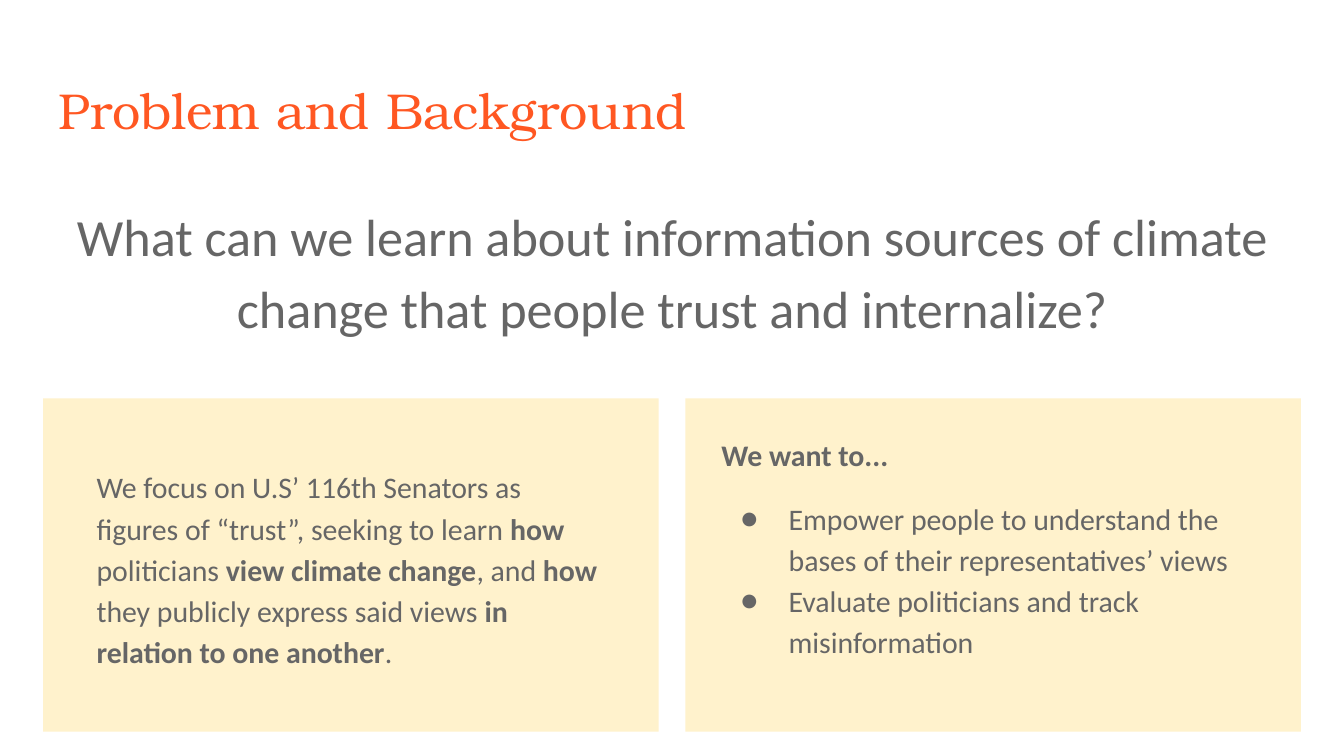
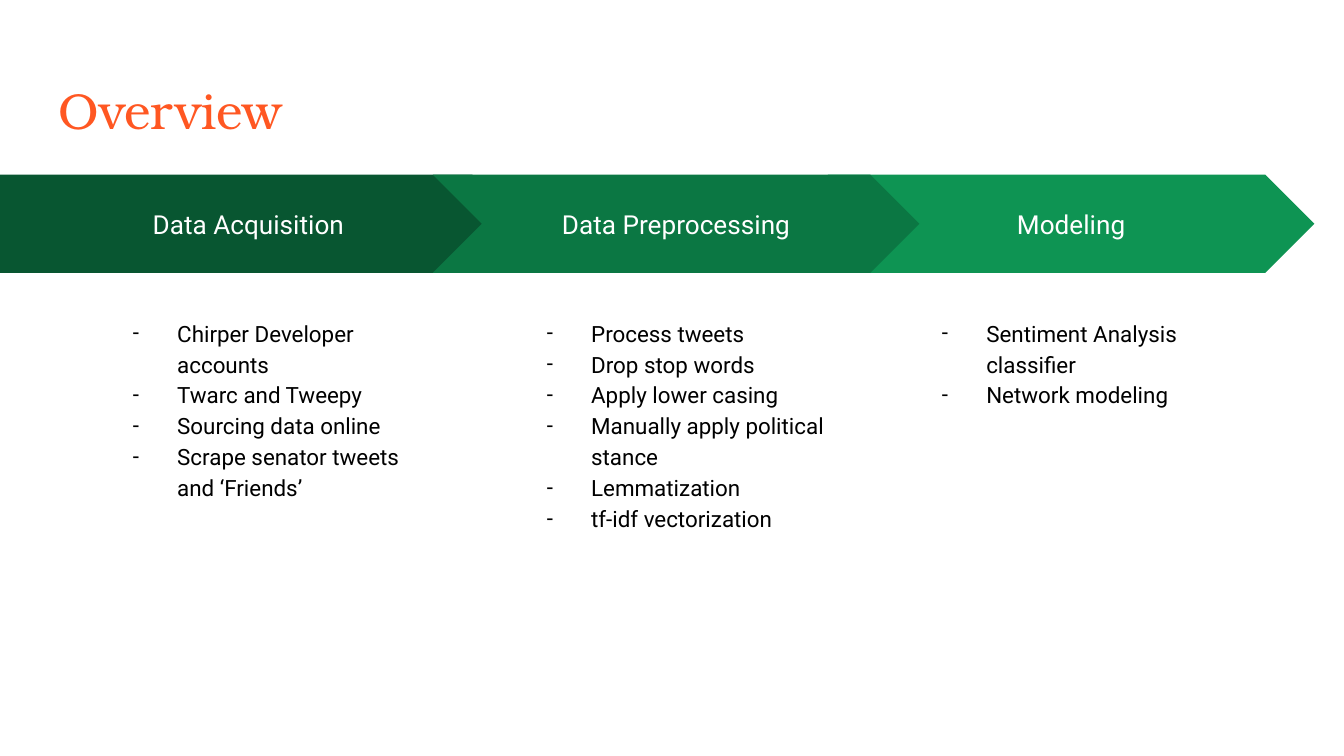
from dataclasses import dataclass
from typing import NamedTuple

from lxml.etree import SubElement
from pptx import Presentation
from pptx.dml.color import RGBColor
from pptx.enum.shapes import MSO_SHAPE as Preset
from pptx.enum.text import MSO_ANCHOR as Anchor, PP_ALIGN as Align
from pptx.oxml.ns import qn
from pptx.util import Emu, Pt

EMU_PER_PX = 4572
SLIDE_WIDTH, SLIDE_HEIGHT = 2000, 1125
INSET = 20
BULLET_MARGIN = 100
LINE_SPACING = 1.15
COLOURS = {
    "title": "FF5722",
    "body": "666666",
    "panel": "FFF2CC",
    "list": "000000",
    "label": "FFFFFF",
    "acquisition": "085631",
    "preprocessing": "0B7743",
    "modeling": "0E9453",
}
TITLE_FONT, BODY_FONT, FLOW_FONT = "TeX Gyre Bonum", "Calibri", "Roboto"


class Box(NamedTuple):
    """A rectangle in px, 200 to the inch."""
    left: int
    top: int
    width: int
    height: int


class Bullet(NamedTuple):
    """A list mark and how far it hangs left of the text, in px."""
    mark: str
    hang: int


@dataclass(frozen=True)
class Stage:
    """One arrow of the process with the list below it."""
    label: str
    colour: str
    preset: Preset
    left: int
    width: int
    list_left: int
    items: tuple[str, ...]


TITLE_BOX = Box(68, 98, 1864, 126)
DOT, DASH = Bullet("●", 72), Bullet("-", 66)
FOCUS = (
    "We focus on U.S’ 116th Senators as figures of “trust”, seeking to learn **how** "
    "politicians **view climate change**, and **how** they publicly express said views "
    "**in relation to one another**."
)
GOALS = (
    "Empower people to understand the bases of their representatives’ views",
    "Evaluate politicians and track misinformation",
)
STAGES = (
    Stage("Modeling", "modeling", Preset.CHEVRON, 1232, 724, 1348,
          ("Sentiment Analysis classifier", "Network modeling")),
    Stage("Data Acquisition", "acquisition", Preset.PENTAGON, 0, 776, 144,
          ("Chirper Developer accounts", "Twarc and Tweepy", "Sourcing data online",
           "Scrape senator tweets and ‘Friends’")),
    Stage("Data Preprocessing", "preprocessing", Preset.CHEVRON, 644, 724, 760,
          ("Process tweets", "Drop stop words", "Apply lower casing",
           "Manually apply political stance", "Lemmatization", "tf-idf vectorization")),
)


def px(length: int) -> Emu:
    """Turn px into EMU."""
    return Emu(length * EMU_PER_PX)


def rgb(name: str) -> RGBColor:
    """Look up a named colour."""
    return RGBColor.from_string(COLOURS[name])


def set_bullet(paragraph, bullet: Bullet, font: str, size: int, colour: str) -> None:
    """Give a paragraph a formatted mark and a hanging indent."""
    properties = paragraph._p.get_or_add_pPr()
    properties.set("marL", str(px(BULLET_MARGIN)))
    properties.set("indent", str(px(-bullet.hang)))
    SubElement(SubElement(properties, qn("a:buClr")), qn("a:srgbClr"), val=COLOURS[colour])
    SubElement(properties, qn("a:buSzPts"), val=str(size * 100))
    SubElement(properties, qn("a:buFont"), typeface=font)
    SubElement(properties, qn("a:buChar"), char=bullet.mark)


def write(frame, text: str, *, font: str, size: int, colour: str,
          align: Align = Align.LEFT, spacing: float = 1.0, before: int = 0,
          after: int = 0, bullet: Bullet | None = None) -> None:
    """Write one paragraph, with bold parts set between double asterisks."""
    paragraph = frame.add_paragraph() if frame.text else frame.paragraphs[0]
    paragraph.alignment = align
    paragraph.line_spacing = spacing
    paragraph.space_before, paragraph.space_after = Pt(before), Pt(after)
    if bullet:
        set_bullet(paragraph, bullet, font, size, colour)
    for index, part in enumerate(text.split("**")):
        if part:
            run = paragraph.add_run()
            run.text = part
            run.font.name, run.font.size = font, Pt(size)
            run.font.bold = index % 2 == 1
            run.font.color.rgb = rgb(colour)


def prepare_frame(shape, anchor: Anchor = Anchor.TOP):
    """Set wrapping, insets and anchor, and return the text frame."""
    frame = shape.text_frame
    frame.word_wrap = True
    frame.vertical_anchor = anchor
    frame.margin_left = frame.margin_right = px(INSET)
    frame.margin_top = frame.margin_bottom = px(INSET)
    return frame


def add_text_frame(shapes, box: Box):
    """Add a text box and return its frame."""
    return prepare_frame(shapes.add_textbox(*map(px, box)))


def add_block(shapes, preset: Preset, box: Box, colour: str):
    """Add a flat filled shape without outline."""
    shape = shapes.add_shape(preset, *map(px, box))
    shape.shadow.inherit = False
    shape.fill.solid()
    shape.fill.fore_color.rgb = rgb(colour)
    shape.line.fill.background()
    return shape


def add_titled_slide(presentation, title: str):
    """Add a blank slide with the shared title style."""
    slide = presentation.slides.add_slide(presentation.slide_layouts[6])
    write(add_text_frame(slide.shapes, TITLE_BOX), title,
          font=TITLE_FONT, size=27, colour="title")
    return slide


def add_stage(slide, stage: Stage) -> None:
    """Draw one process arrow grouped with its list."""
    shapes = slide.shapes.add_group_shape().shapes
    arrow = add_block(shapes, stage.preset, Box(stage.left, 260, stage.width, 146), stage.colour)
    write(prepare_frame(arrow, Anchor.MIDDLE), stage.label,
          font=FLOW_FONT, size=14, colour="label", align=Align.CENTER)
    frame = add_text_frame(shapes, Box(stage.list_left, 450, 490, 572))
    for item in stage.items:
        write(frame, item, font=FLOW_FONT, size=12, colour="list",
              spacing=LINE_SPACING, bullet=DASH)


def build_background(presentation) -> None:
    """Build the slide with the question and two panels."""
    shapes = add_titled_slide(presentation, "Problem and Background").shapes
    style = dict(font=BODY_FONT, colour="body", spacing=LINE_SPACING)
    write(add_text_frame(shapes, Box(68, 270, 1864, 748)),
          "What can we learn about information sources of climate change "
          "that people trust and internalize?",
          size=28, align=Align.CENTER, **style)
    for left in (64, 1020):
        add_block(shapes, Preset.RECTANGLE, Box(left, 593, 916, 496), "panel")
    write(add_text_frame(shapes, Box(124, 670, 796, 342)), FOCUS, size=16, after=12, **style)
    frame = add_text_frame(shapes, Box(1054, 622, 846, 438))
    write(frame, "**We want to...**", size=16, **style)
    for index, goal in enumerate(GOALS):
        write(frame, goal, size=16, before=0 if index else 12, bullet=DOT, **style)


def build_overview(presentation) -> None:
    """Build the slide with the three process stages."""
    slide = add_titled_slide(presentation, "Overview")
    for stage in STAGES:
        add_stage(slide, stage)


def main() -> None:
    """Build and save the presentation."""
    presentation = Presentation()
    presentation.slide_width, presentation.slide_height = px(SLIDE_WIDTH), px(SLIDE_HEIGHT)
    build_background(presentation)
    build_overview(presentation)
    presentation.save("out.pptx")


if __name__ == "__main__":
    main()
